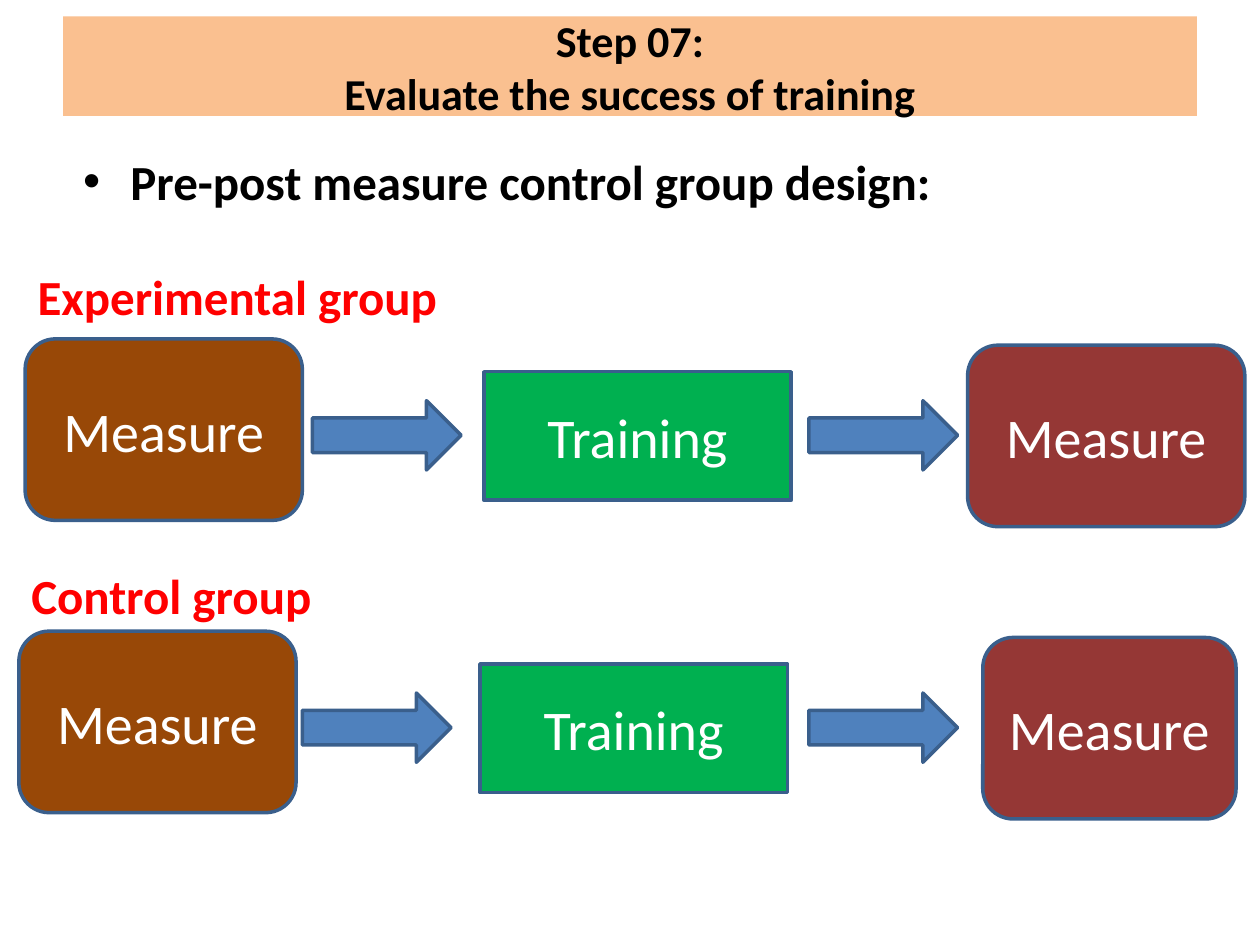
from dataclasses import dataclass

from pptx import Presentation
from pptx.dml.color import RGBColor
from pptx.enum.shapes import MSO_SHAPE
from pptx.enum.text import MSO_ANCHOR, MSO_AUTO_SIZE, PP_ALIGN
from pptx.util import Inches, Pt

BLACK = RGBColor(0x00, 0x00, 0x00)
WHITE = RGBColor(0xFF, 0xFF, 0xFF)
RED = RGBColor(0xFF, 0x00, 0x00)
PEACH = RGBColor(0xFA, 0xC0, 0x90)
BROWN = RGBColor(0x98, 0x48, 0x07)
MAROON = RGBColor(0x95, 0x37, 0x35)
GREEN = RGBColor(0x00, 0xB0, 0x50)
BLUE = RGBColor(0x4F, 0x81, 0xBD)
OUTLINE = RGBColor(0x3A, 0x5F, 0x8C)
FONT = "Calibri"


@dataclass(frozen=True)
class Step:
    shape: MSO_SHAPE
    color: RGBColor
    drop: float
    width: float
    height: float
    text: str = ""


@dataclass(frozen=True)
class Group:
    name: str
    label_top: float
    label_width: float
    top: float
    lefts: tuple[float, ...]
    last_width: float


ARROW = Step(MSO_SHAPE.RIGHT_ARROW, BLUE, 0.49, 1.18, 0.55)
STEPS = (
    Step(MSO_SHAPE.ROUNDED_RECTANGLE, BROWN, 0, 2.2, 1.44, "Measure"),
    ARROW,
    Step(MSO_SHAPE.RECTANGLE, GREEN, 0.26, 2.44, 1.02, "Training"),
    ARROW,
    Step(MSO_SHAPE.ROUNDED_RECTANGLE, MAROON, 0.05, 2.2, 1.44, "Measure"),
)
GROUPS = (
    Group("Experimental group", 2.07, 3.46, 2.69, (0.2, 2.48, 3.84, 6.42, 7.68), 2.2),
    Group("Control group", 4.44, 3.28, 5.01, (0.15, 2.4, 3.81, 6.42, 7.8), 2.01),
)


def format_text(frame, size: float, color: RGBColor, bold: bool) -> None:
    for para in frame.paragraphs:
        for span in para.runs:
            span.font.name = FONT
            span.font.size = Pt(size)
            span.font.bold = bold
            span.font.color.rgb = color


def place(box, left: float, top: float, width: float, height: float) -> None:
    box.left, box.top = Inches(left), Inches(top)
    box.width, box.height = Inches(width), Inches(height)


def fill_placeholder(box, text: str, size: float) -> None:
    frame = box.text_frame
    frame.text = text
    frame.auto_size = MSO_AUTO_SIZE.NONE
    format_text(frame, size, BLACK, True)


def draw_step(page, step: Step, left: float, top: float, width: float) -> None:
    box = page.shapes.add_shape(
        step.shape, Inches(left), Inches(top + step.drop), Inches(width), Inches(step.height)
    )
    box.shadow.inherit = False
    box.fill.solid()
    box.fill.fore_color.rgb = step.color
    box.line.color.rgb = OUTLINE
    box.line.width = Pt(2)
    if step.text:
        frame = box.text_frame
        frame.text = step.text
        frame.vertical_anchor = MSO_ANCHOR.MIDDLE
        frame.paragraphs[0].alignment = PP_ALIGN.CENTER
        format_text(frame, 32, WHITE, False)


def draw_group(page, group: Group) -> None:
    for step, left in zip(STEPS, group.lefts):
        width = group.last_width if step is STEPS[-1] else step.width
        draw_step(page, step, left, group.top, width)
    label = page.shapes.add_textbox(
        Inches(group.lefts[0]), Inches(group.label_top), Inches(group.label_width), Inches(0.57)
    )
    label.text_frame.word_wrap = True
    label.text_frame.text = group.name
    format_text(label.text_frame, 28, RED, True)


def build_deck() -> None:
    deck = Presentation()
    deck.slide_width, deck.slide_height = Inches(10), Inches(7.5)
    page = deck.slides.add_slide(deck.slide_layouts[1])

    title = page.shapes.title
    place(title, 0.5, 0.13, 9, 0.79)
    title.fill.solid()
    title.fill.fore_color.rgb = PEACH
    fill_placeholder(title, "Step 07:\vEvaluate the success of training", 25.2)

    body = page.placeholders[1]
    place(body, 0.56, 1.15, 9, 0.9)
    fill_placeholder(body, "Pre-post measure control group design:", 28)

    for group in GROUPS:
        draw_group(page, group)
    deck.save("out.pptx")


build_deck()
